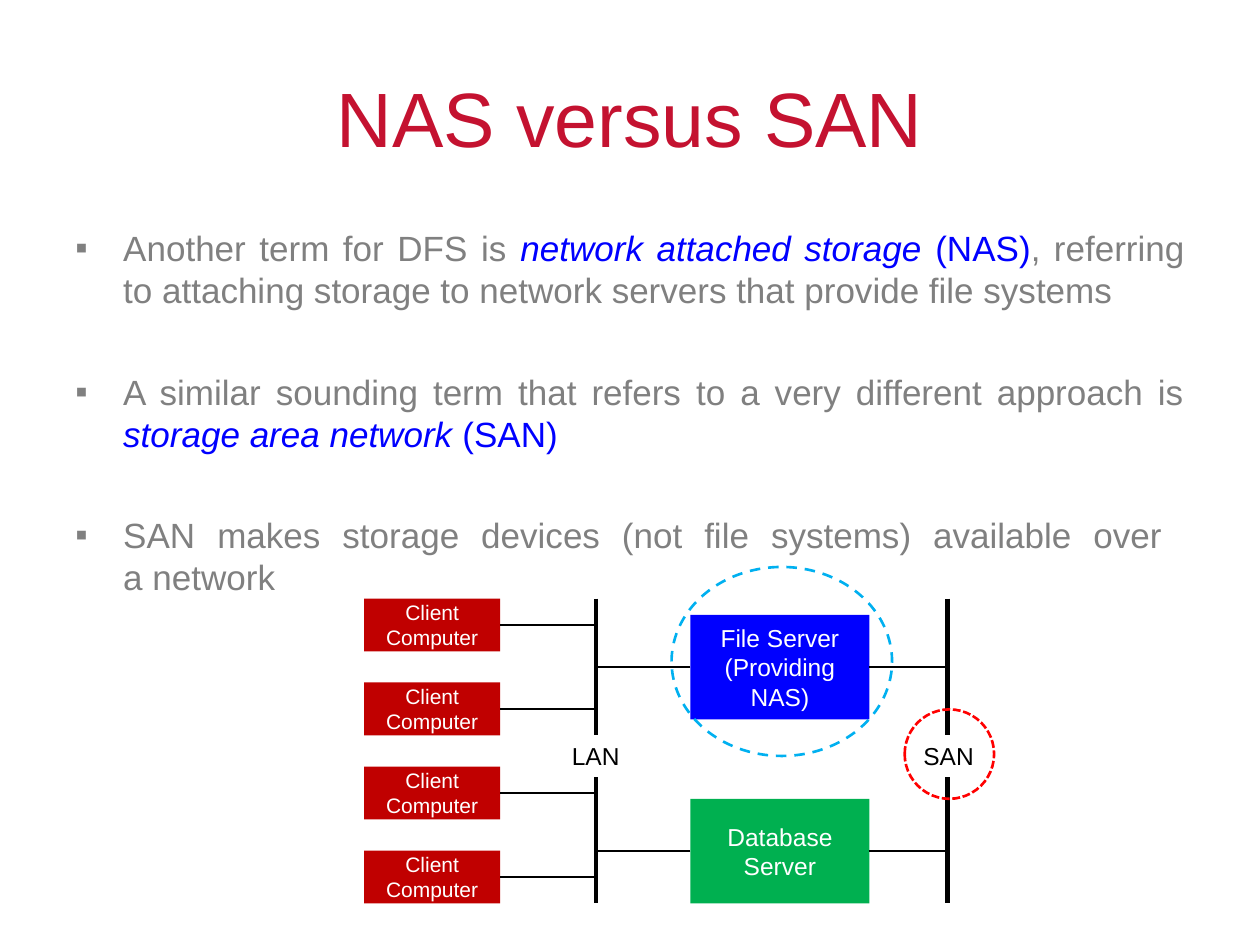
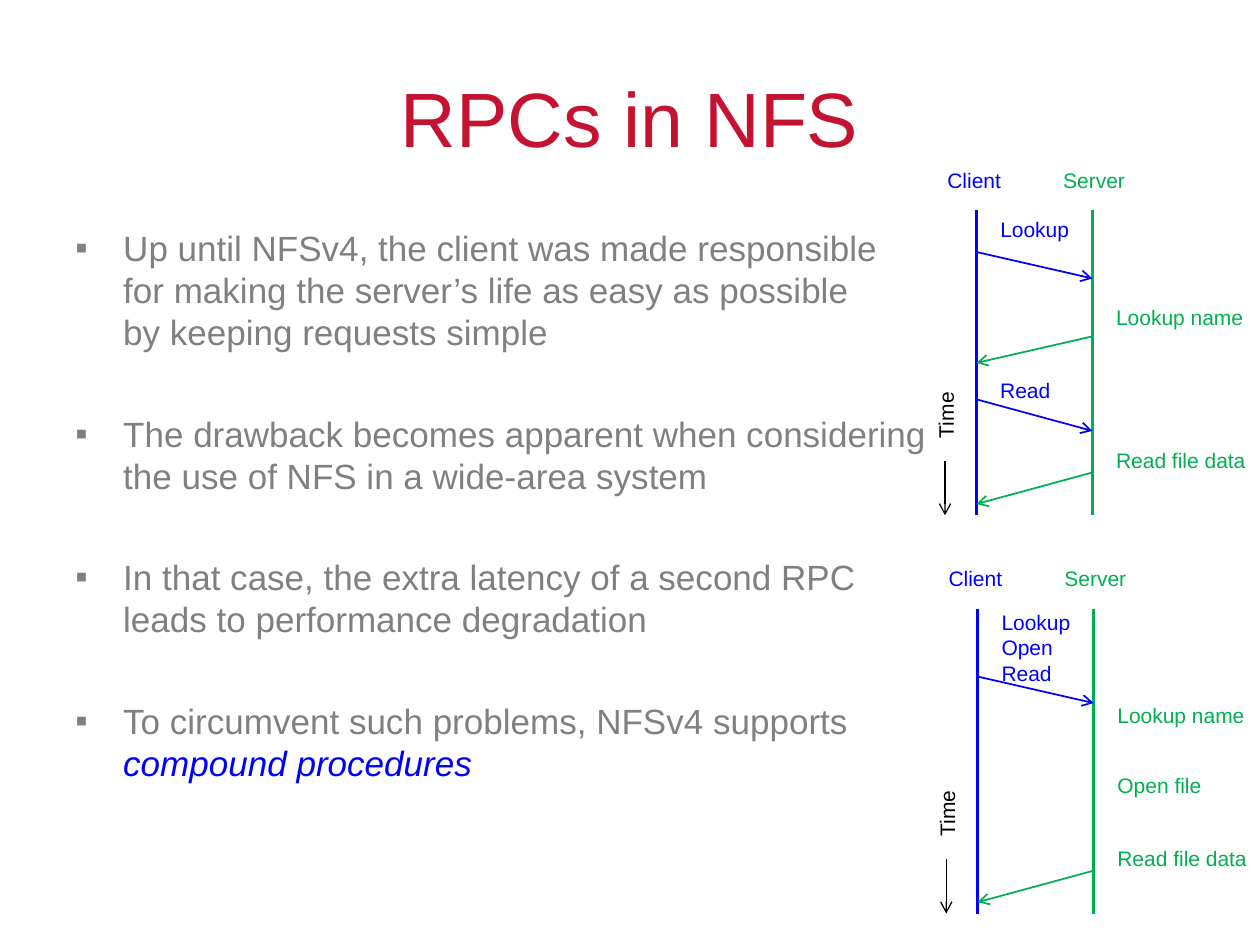
from dataclasses import dataclass

from lxml import etree
from pptx import Presentation
from pptx.dml.color import RGBColor
from pptx.enum import dml, shapes, text
from pptx.oxml.ns import qn
from pptx.util import Inches, Pt

FONT = "Arial"
RED, GREY, BLUE, GREEN = "C41230", "808080", "0000FF", "00B050"
BRICK, SKY, ALERT = "C00000", "00B0F0", "FF0000"
BLACK, WHITE = "000000", "FFFFFF"
LEFT, MID, FULL = text.PP_ALIGN.LEFT, text.PP_ALIGN.CENTER, text.PP_ALIGN.JUSTIFY
RECT, OVAL = shapes.MSO_SHAPE.RECTANGLE, shapes.MSO_SHAPE.OVAL


@dataclass(frozen=True)
class Key:
    """A highlighted term inside a bullet."""
    words: str
    slant: bool = True


@dataclass(frozen=True)
class Box:
    words: str
    x: float
    y: float
    w: float
    h: float
    fill: str
    size: int = 14


@dataclass(frozen=True)
class Ring:
    x: float
    y: float
    w: float
    h: float
    color: str
    dash: dml.MSO_LINE


@dataclass(frozen=True)
class Bus:
    name: str
    x: float
    left: float
    w: float


@dataclass(frozen=True)
class Call:
    """A message between the two lifelines; times run down from their top."""
    start: float
    end: float
    reply: bool = False


@dataclass(frozen=True)
class Note:
    words: str
    y: float
    w: float
    server: bool = False
    h: float = 0.3


@dataclass(frozen=True)
class Flow:
    x: float
    y: float
    calls: tuple[Call, ...]
    notes: tuple[Note, ...]


def paint(code: str) -> RGBColor:
    return RGBColor.from_string(code)


def write(para, words: str, *, size: float, color: str, slant: bool = False) -> None:
    """Add words to a paragraph; a newline becomes a line break."""
    for i, line in enumerate(words.split("\n")):
        if i:
            para.add_line_break()
        if not line:
            continue
        run = para.add_run()
        run.text = line
        font = run.font
        font.name, font.size, font.italic = FONT, Pt(size), slant
        font.color.rgb = paint(color)


def frame(slide, x: float, y: float, w: float, h: float):
    return slide.shapes.add_textbox(Inches(x), Inches(y), Inches(w), Inches(h))


def label(slide, words: str, x: float, y: float, w: float, h: float = 0.3, *,
          size: float = 12, color: str = BLACK, turn: float = 0) -> None:
    box = frame(slide, x, y, w, h)
    box.rotation = turn
    body = box.text_frame
    body.word_wrap = False
    body.auto_size = text.MSO_AUTO_SIZE.SHAPE_TO_FIT_TEXT
    for i, line in enumerate(words.split("\n")):
        para = body.add_paragraph() if i else body.paragraphs[0]
        write(para, line, size=size, color=color)


def title(slide, words: str) -> None:
    body = frame(slide, 0.5, 0.3, 9, 1.25).text_frame
    body.word_wrap = True
    body.vertical_anchor = text.MSO_ANCHOR.MIDDLE
    para = body.paragraphs[0]
    para.alignment = MID
    write(para, words, size=44, color=RED)


def bullet(para) -> None:
    props = para._p.get_or_add_pPr()
    props.set("marL", str(Inches(0.38)))
    props.set("indent", str(-Inches(0.38)))
    tint = etree.SubElement(props, qn("a:buClr"))
    etree.SubElement(tint, qn("a:srgbClr"), val=GREY)
    etree.SubElement(props, qn("a:buFont"), typeface=FONT)
    etree.SubElement(props, qn("a:buChar"), char="▪")


def points(slide, items: list[list], align) -> None:
    body = frame(slide, 0.5, 1.75, 9, 4.95).text_frame
    body.word_wrap = True
    for i, item in enumerate(items):
        para = body.add_paragraph() if i else body.paragraphs[0]
        bullet(para)
        para.alignment = align
        if i:
            para.space_before = Pt(34)
        for part in item:
            if isinstance(part, Key):
                write(para, part.words, size=20, color=BLUE, slant=part.slant)
            else:
                write(para, part, size=20, color=GREY)


def block(slide, box: Box):
    shape = slide.shapes.add_shape(
        RECT, Inches(box.x), Inches(box.y), Inches(box.w), Inches(box.h))
    shape.shadow.inherit = False
    shape.fill.solid()
    shape.fill.fore_color.rgb = paint(box.fill)
    shape.line.fill.background()
    body = shape.text_frame
    body.word_wrap = True
    body.vertical_anchor = text.MSO_ANCHOR.MIDDLE
    para = body.paragraphs[0]
    para.alignment = MID
    write(para, box.words, size=box.size, color=WHITE)
    return shape


def circle(slide, ring: Ring) -> None:
    shape = slide.shapes.add_shape(
        OVAL, Inches(ring.x), Inches(ring.y), Inches(ring.w), Inches(ring.h))
    shape.shadow.inherit = False
    shape.fill.background()
    shape.line.color.rgb = paint(ring.color)
    shape.line.width = Pt(1.5)
    shape.line.dash_style = ring.dash


def line(slide, x1: float, y1: float, x2: float, y2: float, *,
         color: str = BLACK, width: float = 1, arrow: bool = False):
    link = slide.shapes.add_connector(
        shapes.MSO_CONNECTOR.STRAIGHT, Inches(x1), Inches(y1), Inches(x2), Inches(y2))
    link.line.color.rgb = paint(color)
    link.line.width = Pt(width)
    if arrow:
        etree.SubElement(link.line._get_or_add_ln(), qn("a:tailEnd"), type="arrow")
    etree.SubElement(link._element.spPr, qn("a:effectLst"))
    return link


def attach(slide, shape, box: Box, side: int, x: float) -> None:
    """Join the left (1) or right (3) side of a box to the bus at x."""
    edge = box.x + (box.w if side == 3 else 0)
    mid = box.y + box.h / 2
    line(slide, edge, mid, x, mid).begin_connect(shape, side)


def network(slide) -> None:
    lan, san = Bus("LAN", 4.73, 4.44, 0.6), Bus("SAN", 7.52, 7.23, 0.62)
    for bus in (lan, san):
        for top, end in ((4.75, 5.83), (6.17, 7.17)):
            line(slide, bus.x, top, bus.x, end, width=2.5)
        label(slide, bus.name, bus.left, 5.83, bus.w, 0.34, size=14)
    for i in range(4):
        box = Box("Client Computer", 2.89, 4.75 + i * 2 / 3, 1.08, 0.42, BRICK, 12)
        attach(slide, block(slide, box), box, 3, lan.x)
    for words, y, fill in (("File Server (Providing NAS)", 4.88, BLUE),
                           ("Database Server", 6.34, GREEN)):
        box = Box(words, 5.48, y, 1.42, 0.83, fill)
        shape = block(slide, box)
        attach(slide, shape, box, 1, lan.x)
        attach(slide, shape, box, 3, san.x)
    circle(slide, Ring(5.33, 4.5, 1.75, 1.5, SKY, dml.MSO_LINE.DASH))
    circle(slide, Ring(7.18, 5.63, 0.71, 0.71, ALERT, dml.MSO_LINE.SQUARE_DOT))


def sequence(slide, flow: Flow) -> None:
    x, y, far, end = flow.x, flow.y, flow.x + 0.92, flow.y + 2.42
    for name, pos, w, color in (("Client", x, 0.68, BLUE), ("Server", far, 0.73, GREEN)):
        line(slide, pos, y, pos, end, color=color, width=1.5)
        label(slide, name, pos - 0.33, y - 0.39, w, color=color)
    for call in flow.calls:
        here, there = (far, x) if call.reply else (x, far)
        line(slide, here, y + call.start, there, y + call.end,
             color=GREEN if call.reply else BLUE, arrow=True)
    for note in flow.notes:
        label(slide, note.words, (far if note.server else x) + 0.09, y + note.y,
              note.w, note.h, color=GREEN if note.server else BLUE)
    line(slide, x - 0.25, end - 0.43, x - 0.25, end, width=0.75, arrow=True)
    label(slide, "Time", x - 0.53, y + 1.47, 0.57, turn=270)


def storage(slide) -> None:
    title(slide, "NAS versus SAN")
    points(slide, [
        ["Another term for DFS is ", Key("network attached storage "), Key("(NAS)", False),
         ", referring to attaching storage to network servers that provide file systems"],
        ["A similar sounding term that refers to a very different approach is ",
         Key("storage area network "), Key("(SAN)", False)],
        ["SAN makes storage devices (not file systems) available over \na network"],
    ], FULL)
    network(slide)


def calls(slide) -> None:
    title(slide, "RPCs in NFS")
    points(slide, [
        ["Up until NFSv4, the client was made responsible \n"
         "for making the server’s life as easy as possible \n"
         "by keeping requests simple"],
        ["The drawback becomes apparent when considering \n"
         "the use of NFS in a wide-area system"],
        ["In that case, the extra latency of a second RPC\n"
         "leads to performance degradation"],
        ["To circumvent such problems, NFSv4 supports\n", Key("compound procedures")],
    ], LEFT)
    name = Note("Lookup name", 0.7, 1.23, True)
    data = Note("Read file data", 1.83, 1.23, True)
    last = Call(2.08, 2.33, True)
    sequence(slide, Flow(
        7.75, 1.67,
        (Call(0.33, 0.54), Call(1, 1.21, True), Call(1.5, 1.75), last),
        (Note("Lookup", 0, 0.82), name, Note("Read", 1.28, 0.64), data)))
    sequence(slide, Flow(
        7.76, 4.83,
        (Call(0.54, 0.75), last),
        (Note("Lookup\nOpen\nRead", -0.04, 0.82, h=0.7), name,
         Note("Open file", 1.25, 0.95, True), data)))


def main() -> None:
    deck = Presentation()
    deck.slide_width, deck.slide_height = Inches(10), Inches(7.5)
    for fill in (storage, calls):
        fill(deck.slides.add_slide(deck.slide_layouts[6]))
    deck.save("out.pptx")


if __name__ == "__main__":
    main()
